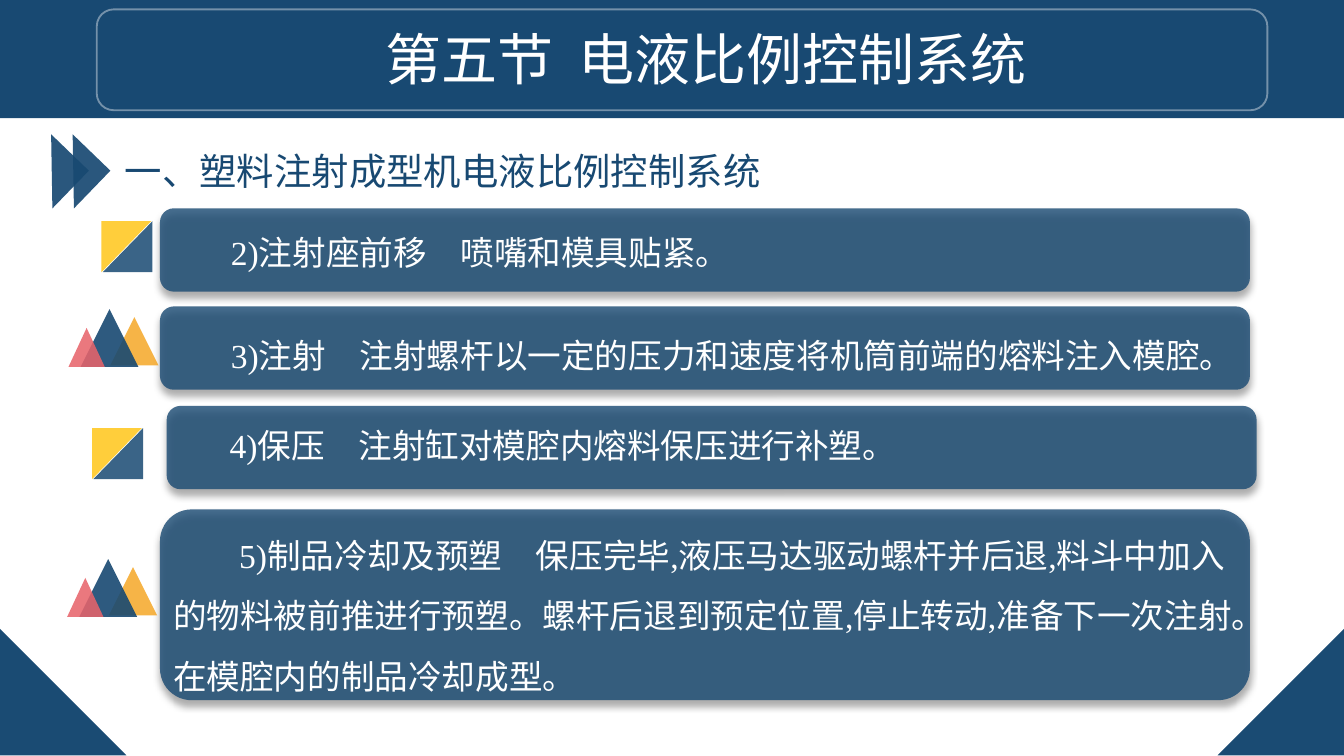
"""Build the slide on the electro-hydraulic control of an injection moulder."""
import pptx
import pptx.util
import pptx.dml.color
import pptx.enum.shapes
import pptx.enum.text
import pptx.oxml
import pptx.oxml.ns

Inches, Pt = pptx.util.Inches, pptx.util.Pt
RGB = pptx.dml.color.RGBColor
KIND = pptx.enum.shapes.MSO_SHAPE
ALIGN = pptx.enum.text.PP_ALIGN
SIZE = pptx.enum.text.MSO_AUTO_SIZE
qn = pptx.oxml.ns.qn
SPACE = pptx.oxml.ns.nsdecls("a")

NAVY = RGB(0x18, 0x49, 0x72)
WHITE = RGB(0xFF, 0xFF, 0xFF)
GOLD = RGB(0xFF, 0xC0, 0x00)
AMBER = RGB(0xF4, 0x9F, 0x14)
CORAL = RGB(0xE8, 0x64, 0x6B)
FONT = "Times New Roman"

TITLE = "第五节  电液比例控制系统"
HEAD = "一、塑料注射成型机电液比例控制系统"
STEPS = [
    {"text": "2)注射座前移　喷嘴和模具贴紧。", "panel": (1.19, 1.55, 8.11, 0.62),
     "area": (1.13, 1.53, 4.44, 0.5), "wrap": False, "gap": 1.5,
     "icon": "fold", "spot": (0.75, 1.65)},
    {"text": "3)注射　注射螺杆以一定的压力和速度将机筒前端的熔料注入模腔。",
     "panel": (1.19, 2.28, 8.11, 0.62), "area": (1.13, 2.29, 8.32, 0.5),
     "wrap": True, "gap": 1.5, "icon": "peaks", "spot": (0.51, 2.3)},
    {"text": "4)保压　注射缸对模腔内熔料保压进行补塑。",
     "panel": (1.24, 3.02, 8.11, 0.62), "area": (1.12, 3.11, 5.75, 0.4),
     "wrap": False, "gap": None, "icon": "fold", "spot": (0.68, 3.19)},
    {"text": "5)制品冷却及预塑　保压完毕,液压马达驱动螺杆并后退,料斗中加入的物料"
             "被前推进行预塑。螺杆后退到预定位置,停止转动,准备下一次注射。"
             "在模腔内的制品冷却成型。",
     "panel": (1.19, 3.79, 8.11, 1.42), "area": (1.19, 3.78, 8.11, 1.41),
     "wrap": True, "gap": 1.5, "icon": "peaks", "spot": (0.5, 4.16)},
]
ICONS = {
    "fold": [(0.01, 0, 0.38, 0.37, NAVY, 85, 270, 0),
             (0, 0, 0.38, 0.37, GOLD, 77, 90, 0)],
    "peaks": [(0.31, 0.06, 0.36, 0.36, AMBER, 78, 0, 0.5),
              (0.09, 0, 0.43, 0.43, NAVY, 90, 0, 0.5),
              (0, 0.14, 0.27, 0.29, CORAL, 87, 0, 0.5)],
}


def fade(node, alpha):
    tint = node.find(".//" + qn("a:srgbClr"))
    tint.append(pptx.oxml.parse_xml(f'<a:alpha {SPACE} val="{alpha * 1000}"/>'))


def draw(home, kind, area, color, alpha=100, turn=0):
    shape = home.add_shape(kind, *map(Inches, area))
    shape.shadow.inherit = False
    shape.fill.solid()
    shape.fill.fore_color.rgb = color
    if alpha < 100:
        fade(shape._element.spPr, alpha)
    shape.line.fill.background()
    shape.rotation = turn
    return shape


def cast(shape):
    glow = shape._element.spPr.find(qn("a:effectLst"))
    glow.append(pptx.oxml.parse_xml(
        f'<a:outerShdw {SPACE} blurRad="{Pt(4)}" dist="{Pt(3)}" dir="5400000" '
        'rotWithShape="0"><a:srgbClr val="000000"><a:alpha val="40000"/>'
        '</a:srgbClr></a:outerShdw>'))


def write(home, area, text, size, color, wrap=True, gap=None, dent=0, align=None):
    frame = home.add_textbox(*map(Inches, area)).text_frame
    frame.word_wrap = wrap
    frame.auto_size = SIZE.SHAPE_TO_FIT_TEXT
    para = frame.paragraphs[0]
    para.text = text
    para.alignment = align
    if gap:
        para.line_spacing = gap
    if dent:
        props = para._p.get_or_add_pPr()
        props.set("marL", "0")
        props.set("indent", str(Inches(dent)))
    font = para.runs[0].font
    font.name, font.size, font.color.rgb = FONT, Pt(size), color


def stamp(home, name, spot):
    group = home.add_group_shape().shapes
    for x, y, w, h, color, alpha, turn, tip in ICONS[name]:
        part = draw(group, KIND.ISOSCELES_TRIANGLE,
                    (spot[0] + x, spot[1] + y, w, h), color, alpha, turn)
        part.adjustments[0] = tip


def main():
    deck = pptx.Presentation()
    deck.slide_width = Inches(10)
    deck.slide_height = deck.slide_width * 9 // 16
    home = deck.slides.add_slide(deck.slide_layouts[6]).shapes

    draw(home, KIND.RECTANGLE, (0, 0, 10, 0.88), NAVY)
    for left, turn in ((0, 0), (9.06, 270)):
        draw(home, KIND.RIGHT_TRIANGLE, (left, 4.68, 0.94, 0.94), NAVY, 99, turn)

    frame = draw(home, KIND.ROUNDED_RECTANGLE, (0.72, 0.07, 8.71, 0.75), NAVY)
    frame.fill.background()
    frame.line.color.rgb = WHITE
    frame.line.width = Pt(1)
    fade(frame._element.spPr, 40)
    write(home, (1.08, 0.13, 8.35, 1.11), TITLE, 30, WHITE, align=ALIGN.CENTER)

    write(home, (0.83, 1.05, 7.61, 0.44), HEAD, 20, NAVY)
    for left in (0.19, 0.35):
        draw(home, KIND.RIGHT_TRIANGLE, (left, 1.08, 0.39, 0.39), NAVY, 92, 224)

    for step in STEPS:
        cast(draw(home, KIND.ROUNDED_RECTANGLE, step["panel"], NAVY, 80))
        stamp(home, step["icon"], step["spot"])
        write(home, step["area"], step["text"], 18, WHITE,
              step["wrap"], step["gap"], 0.49)
    deck.save("out.pptx")


if __name__ == "__main__":
    main()
